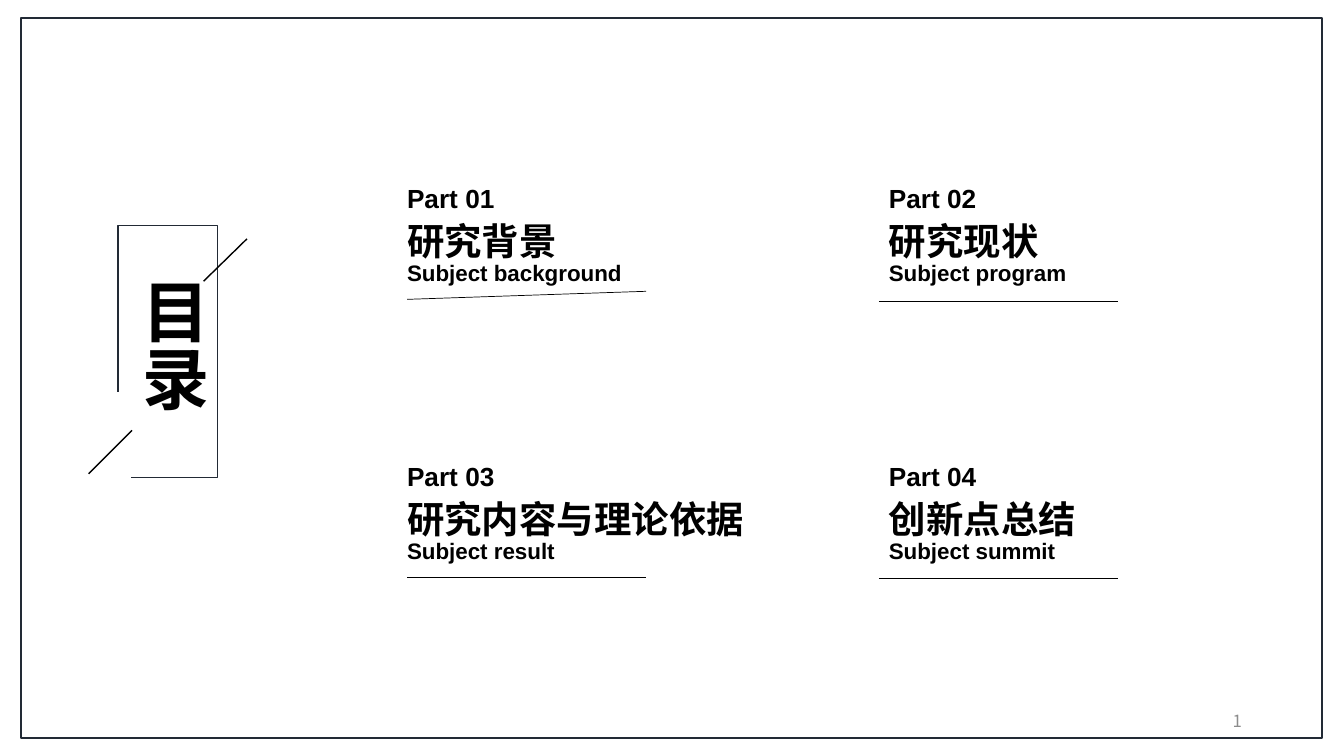
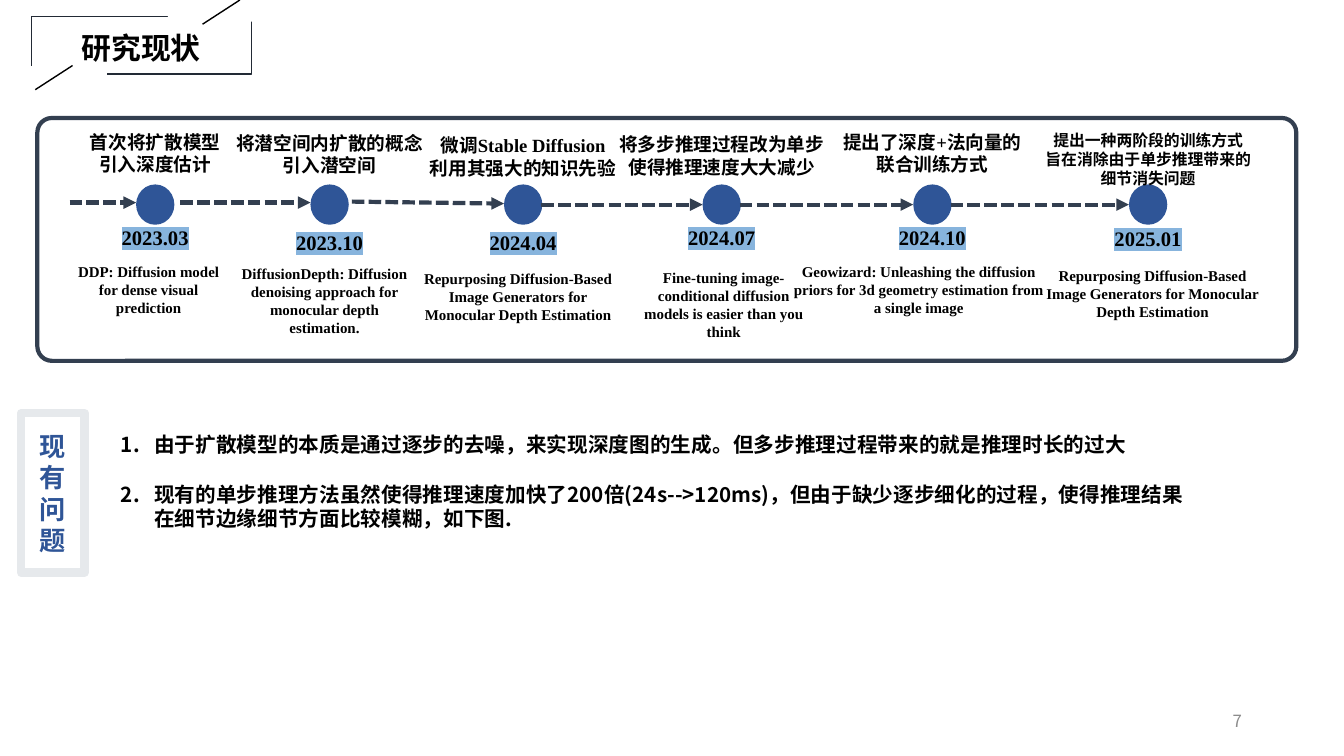
from lxml.etree import SubElement
from pptx import Presentation
from pptx.dml.color import RGBColor
from pptx.enum.dml import MSO_LINE_DASH_STYLE as Dash
from pptx.enum.shapes import MSO_CONNECTOR as Connector, MSO_SHAPE as Shape
from pptx.enum.text import MSO_ANCHOR as Anchor, MSO_AUTO_SIZE as AutoSize, PP_ALIGN as Align
from pptx.oxml.ns import qn
from pptx.util import Inches, Pt

COLORS = {
    "ink": "000000", "paper": "FFFFFF", "frame": "222A35", "axis": "333F50",
    "accent": "2F5597", "border": "E6E9EC", "highlight": "87B4DD", "page": "8C8C8C",
}
WIDTH, HEIGHT = Inches(13.33), Inches(7.5)
COLUMNS, ROWS = 80, 45
SANS, CJK, CJK_TITLE, SERIF = "Arial", "Noto Sans CJK SC", "Noto Sans CJK JP", "Times New Roman"
LEADING = 1.2

PARTS = [
    ("Part 01", "研究背景", "Subject background", (0.6, 7.26), (14.82, 6.78)),
    ("Part 02", "研究现状", "Subject program", (0, 7.38), (14.22, 7.38)),
    ("Part 03", "研究内容与理论依据", "Subject result", (0.6, 7.26), (14.82, 7.26)),
    ("Part 04", "创新点总结", "Subject summit", (0, 7.32), (14.22, 7.32)),
]

REPURPOSING = "Repurposing Diffusion-Based Image Generators for Monocular Depth Estimation"
MILESTONES = [
    dict(dot=5.88, arrow=(1.92, 5.04, 5.04), date=("2023.03", 6.06),
         idea=("首次将扩散模型\n引入深度估计", 0.48, 13.3),
         paper=("DDP: Diffusion model for dense visual prediction", -0.39, 8.34, 9.9)),
    dict(dot=16.26, arrow=(8.52, 5.04, 5.04), date=("2023.10", 6.36),
         idea=("将潜空间内扩散的概念\n引入潜空间", 0.54, 13.3),
         paper=("DiffusionDepth: Diffusion denoising approach for monocular depth estimation.",
                -0.3, 8.46, 11.52)),
    dict(dot=27.78, arrow=(18.72, 4.98, 5.1), date=("2024.04", 6.36),
         idea=("微调Stable Diffusion\n利用其强大的知识先验", 0.66, 13.3),
         paper=(REPURPOSING, -0.3, 8.76, 12.96)),
    dict(dot=39.6, arrow=(30, 5.16, 5.16), date=("2024.07", 6.06),
         idea=("将多步推理过程改为单步\n使得推理速度大大减少", 0.6, 13.3),
         paper=("Fine-tuning image-conditional diffusion models is easier than you think",
                0.12, 8.7, 11.76)),
    dict(dot=52.14, arrow=(41.82, 5.16, 5.16), date=("2024.10", 6.06),
         idea=("提出了深度+法向量的\n联合训练方式", 0.48, 13.3),
         paper=("Geowizard: Unleashing the diffusion priors for 3d geometry estimation "
                "from a single image", -0.81, 8.34, 16.14)),
    dict(dot=64.98, arrow=(54.36, 5.16, 5.16), date=("2025.01", 6.12),
         idea=("提出一种两阶段的训练方式\n旨在消除由于单步推理带来的\n细节消失问题", 0.48, 11.3),
         paper=(REPURPOSING, 0.27, 8.58, 14.22)),
]
PROBLEMS = [
    "由于扩散模型的本质是通过逐步的去噪，来实现深度图的生成。但多步推理过程带来的就是推理时长的过大",
    "现有的单步推理方法虽然使得推理速度加快了200倍(24s-->120ms)，但由于缺少逐步细化的过程，"
    "使得推理结果在细节边缘细节方面比较模糊，如下图.",
]


def col(n):
    return round(WIDTH * n / COLUMNS)


def row(n):
    return round(HEIGHT * n / ROWS)


def place(box):
    x, y, w, h = box
    return col(x), row(y), col(w), row(h)


def inside(box, x, y, *size):
    return (box[0] + x, box[1] + y, *size)


def rgb(key):
    return RGBColor.from_string(COLORS[key])


def format_paragraph(paragraph, size, font, color="ink", bold=True, align=Align.LEFT,
                     leading=LEADING, highlight=None):
    paragraph.alignment = align
    paragraph.line_spacing = Pt(round(size * leading, 1))
    paragraph.space_before = paragraph.space_after = Pt(0)
    for run in paragraph.runs:
        run.font.size, run.font.bold = Pt(size), bold
        run.font.color.rgb = rgb(color)
        properties = run.font._element
        if highlight:
            mark = SubElement(properties, qn("a:highlight"))
            SubElement(mark, qn("a:srgbClr")).set("val", COLORS[highlight])
        run.font.name = font
        east_asian = CJK if font in (SANS, SERIF) else font
        SubElement(properties, qn("a:ea")).set("typeface", east_asian)


def write(shape, text, size, font, wrap=True, anchor=Anchor.TOP, **style):
    frame = shape.text_frame
    frame.text = text
    frame.word_wrap = wrap
    frame.auto_size = AutoSize.NONE
    frame.vertical_anchor = anchor
    for paragraph in frame.paragraphs:
        format_paragraph(paragraph, size, font, **style)
    return frame


def add_text(slide, box, text, size, font, **style):
    return write(slide.shapes.add_textbox(*place(box)), text, size, font, **style)


def add_box(slide, box, fill=None, line=None, weight=1, kind=Shape.RECTANGLE):
    shape = slide.shapes.add_shape(kind, *place(box))
    shape.shadow.inherit = False
    if fill:
        shape.fill.solid()
        shape.fill.fore_color.rgb = rgb(fill)
    else:
        shape.fill.background()
    if line:
        shape.line.color.rgb = rgb(line)
        shape.line.width = Pt(weight)
    else:
        shape.line.fill.background()
    return shape


def add_stroke(slide, start, end, color="ink", weight=1.0, arrow=False):
    stroke = slide.shapes.add_connector(
        Connector.STRAIGHT, col(start[0]), row(start[1]), col(end[0]), row(end[1]))
    stroke.line.color.rgb = rgb(color)
    stroke.line.width = Pt(weight)
    if arrow:
        stroke.line.dash_style = Dash.SQUARE_DOT
        SubElement(stroke.line._get_or_add_ln(), qn("a:tailEnd")).set("type", "triangle")
    SubElement(stroke._element.spPr, qn("a:effectLst"))


def add_title_badge(slide, box, gaps, slashes, title_box, title, size, font, **style):
    add_box(slide, box, line="frame")
    for gap in gaps:
        add_box(slide, inside(box, *gap), fill="paper")
    for start, end in slashes:
        add_stroke(slide, inside(box, *start), inside(box, *end))
    heading = slide.shapes.title
    heading.left, heading.top, heading.width, heading.height = place(inside(box, *title_box))
    return write(heading, title, size, font, **style)


def add_page_number(slide, number):
    add_text(slide, (56.52, 41.7, 18, 2.4), number, 12, CJK, color="page", bold=False,
             align=Align.RIGHT, anchor=Anchor.MIDDLE)


def add_part(slide, box, number, name, subject, start, end):
    frame = add_text(slide, box, "\n".join((number, name, subject)), 18.7, SANS)
    for paragraph, size, leading in zip(frame.paragraphs, (18.7, 26.7, 16), (1.18, 1.32, 1.03)):
        paragraph.line_spacing = Pt(round(size * leading, 1))
        paragraph.runs[0].font.size = Pt(size)
    add_stroke(slide, inside(box, *start), inside(box, *end), weight=0.5)


def add_milestone(slide, box, dot, arrow, date, idea, paper):
    dot_width, dot_height = 2.28, 2.4
    center = dot + dot_width / 2

    def centered(width, y, height, shift=0):
        return inside(box, center + shift - width / 2, y, width, height)

    start, start_y, end_y = arrow
    add_stroke(slide, inside(box, start, start_y), inside(box, dot, end_y), "axis", 3, True)
    add_box(slide, centered(dot_width, 3.96, dot_height), fill="accent", kind=Shape.OVAL)
    text, y, size = idea
    add_text(slide, centered(14.1, y, 2.8), text, size, SERIF, wrap=False, align=Align.CENTER)
    text, y = date
    add_text(slide, centered(4.32, y, 2.64), text, 14.7, SERIF, wrap=False,
             align=Align.CENTER, highlight="highlight")
    text, shift, y, width = paper
    add_text(slide, centered(width, y, 4.8, shift), text, 10.7, SERIF, align=Align.CENTER)


def add_timeline(slide, box):
    for milestone in MILESTONES:
        add_milestone(slide, box, **milestone)
    border = add_box(slide, box, line="axis", weight=3, kind=Shape.ROUNDED_RECTANGLE)
    border.adjustments[0] = 0.06


def add_problems(slide, box):
    label = add_box(slide, inside(box, 0, 0, 3.78, 9.48), "paper", "border", 6)
    write(label, "现有\n问\n题", 18.7, CJK, color="accent", align=Align.CENTER,
          anchor=Anchor.MIDDLE)
    body = slide.placeholders[1]
    body.left, body.top, body.width, body.height = place(inside(box, 5.34, 0.84, 65.4, 6.42))
    frame = write(body, "\n".join(PROBLEMS), 14.7, CJK, leading=1.17)
    for index, paragraph in enumerate(frame.paragraphs):
        paragraph.space_before = Pt(18.5 if index else 0)
        properties = paragraph._p.get_or_add_pPr()
        properties.set("marL", str(Inches(0.33)))
        properties.set("indent", str(-Inches(0.33)))
        SubElement(properties, qn("a:buFont")).set("typeface", CJK)
        SubElement(properties, qn("a:buAutoNum")).set("type", "arabicPeriod")


def build_contents(deck):
    slide = deck.slides.add_slide(deck.slide_layouts[5])
    add_box(slide, (1.26, 1.08, 77.46, 42.84), line="frame", weight=1.5)
    title = add_title_badge(
        slide, (7.02, 13.44, 5.94, 15),
        gaps=[(-0.42, 9.9, 1.2, 7.26)],
        slashes=[((7.68, 0.78), (5.1, 3.3)), ((0.84, 12.18), (-1.74, 14.76))],
        title_box=(0.06, 2.82, 6.06, 9.84), title="目录", size=48, font=CJK, leading=1.15)
    title._txBody.bodyPr.set("vert", "eaVert")
    for index, part in enumerate(PARTS):
        line, column = divmod(index, 2)
        width = (29.7, 16.02)[column]
        add_part(slide, (23.64 + 28.68 * column, 10.56 + 16.56 * line, width, 6.78), *part)
    add_page_number(slide, "1")


def build_status(deck):
    slide = deck.slides.add_slide(deck.slide_layouts[1])
    add_title_badge(
        slide, (1.89, 0.99, 13.08, 3.42),
        gaps=[(8.1, -0.36, 6.36, 0.66), (-1.89, 2.94, 6.36, 0.66)],
        slashes=[((12.39, -0.99), (10.17, 0.45)), ((2.43, 2.91), (0.21, 4.35))],
        title_box=(-1.89, 0.27, 16.8, 2.76), title="研究现状", size=21.3, font=CJK_TITLE,
        align=Align.CENTER, leading=1.3)
    add_timeline(slide, (2.22, 7.02, 74.94, 14.46))
    add_problems(slide, (1.26, 24.6))
    add_page_number(slide, "7")


def main():
    deck = Presentation()
    deck.slide_width, deck.slide_height = WIDTH, HEIGHT
    build_contents(deck)
    build_status(deck)
    deck.save("out.pptx")


if __name__ == "__main__":
    main()
